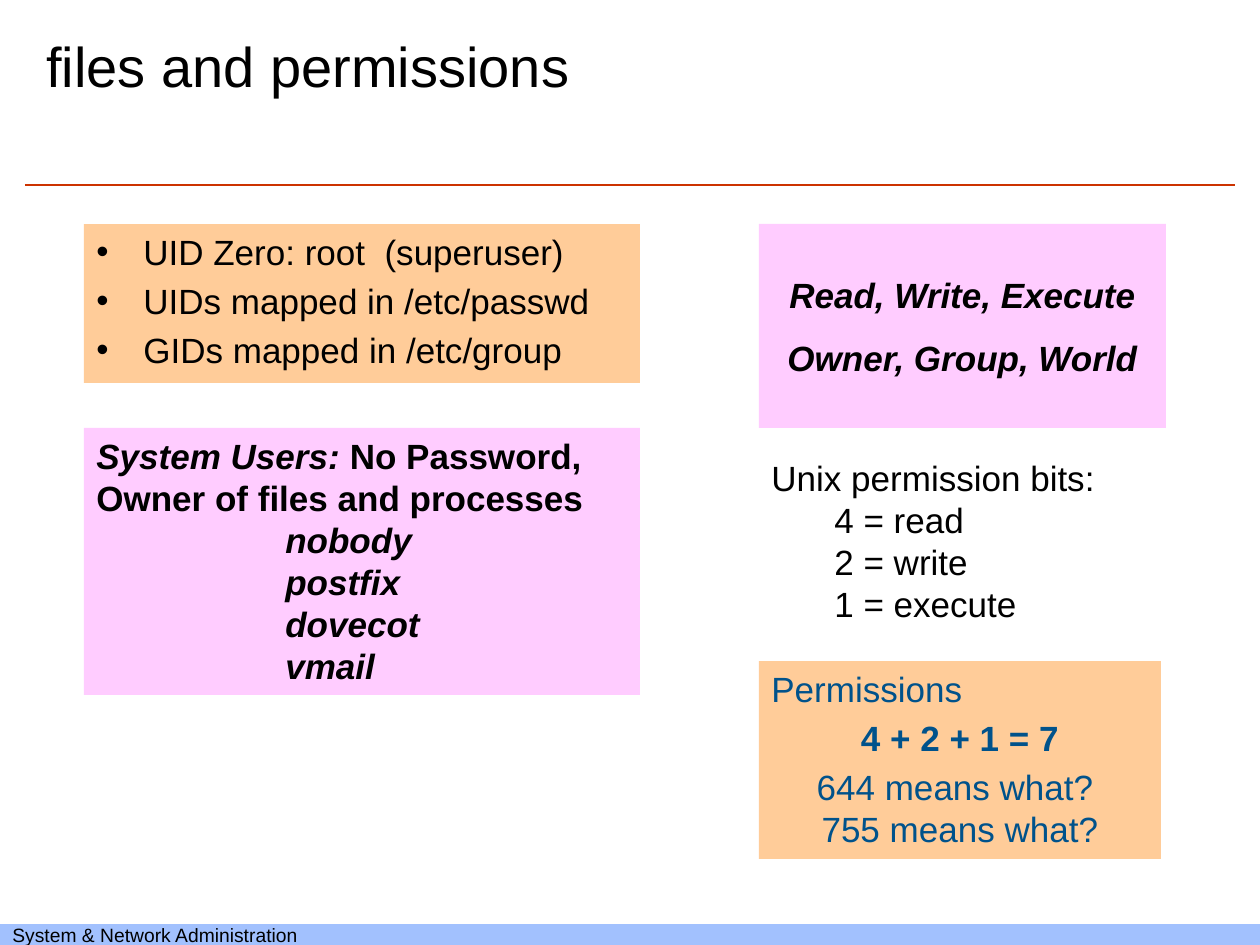
from lxml.etree import SubElement
from pptx import Presentation
from pptx.dml.color import RGBColor
from pptx.enum.shapes import MSO_CONNECTOR as Connector, MSO_SHAPE as Shape
from pptx.enum.text import MSO_ANCHOR as Anchor, PP_ALIGN as Align
from pptx.oxml.ns import qn
from pptx.util import Emu, Pt

SCALE = 914400 / 126
BLACK, BLUE, PEACH, PINK = "000000", "00528B", "FFCC99", "FFCCFF"
LEFT, RIGHT = 84, 759


def px(length):
    """Turn px into EMU."""
    return Emu(round(length * SCALE))


def color(value):
    """Turn a hex string into a colour."""
    return RGBColor.from_string(value)


def add_box(page, area, fill=None, anchor=Anchor.TOP):
    """Add a text box, or a filled rectangle, and return its text frame."""
    area = [px(length) for length in area]
    if fill:
        box = page.shapes.add_shape(Shape.RECTANGLE, *area)
        box.shadow.inherit = False
        box.fill.solid()
        box.fill.fore_color.rgb = color(fill)
        box.line.fill.background()
    else:
        box = page.shapes.add_textbox(*area)
    frame = box.text_frame
    frame.word_wrap = True
    frame.vertical_anchor = anchor
    return frame


def add_para(frame, text, size=20, ink=BLACK, bold=False, italic=False,
             align=Align.LEFT, before=0, indent=0, bullet=None):
    """Write the next paragraph of a frame."""
    para = frame.paragraphs[0] if not frame.text else frame.add_paragraph()
    first = para is frame.paragraphs[0] or not frame.text
    para.text = text
    para.alignment = align
    if before and not first:
        para.space_before = Pt(before)
    props = para._p.get_or_add_pPr()
    if indent:
        props.set("marL", str(px(indent)))
        props.set("indent", str(px(-indent if bullet else 0)))
    if bullet:
        SubElement(props, qn("a:buFont"), typeface="Arial")
        SubElement(props, qn("a:buChar"), char=bullet)
    font = para.font
    font.name, font.size, font.bold, font.italic = "Arial", Pt(size), bold, italic
    font.color.rgb = color(ink)
    return para


def add_header(page, area):
    """Place the title and the rule below it."""
    left, top, width, height = area
    frame = add_box(page, (left + 9, top, width - 337, height - 80), anchor=Anchor.BOTTOM)
    add_para(frame, "files and permissions", size=32)
    end = top + height
    rule = page.shapes.add_connector(
        Connector.STRAIGHT, px(left), px(end), px(left + width), px(end))
    rule.line.color.rgb = color("CC3300")
    rule.line.width = Pt(1.5)
    SubElement(rule._element.spPr, qn("a:effectLst"))


def add_footer(page, area):
    """Place the course name on a band."""
    frame = add_box(page, area, "A2C1FE", Anchor.MIDDLE)
    frame.margin_top = frame.margin_bottom = 0
    add_para(frame, "System & Network Administration", size=11)


def add_ids(page, area):
    """Place the bulleted notes on user and group IDs."""
    frame = add_box(page, area, PEACH)
    for text in ("UID Zero: root  (superuser)", "UIDs mapped in /etc/passwd",
                 "GIDs mapped in /etc/group"):
        add_para(frame, text, before=4, indent=47, bullet="•")


def add_system_users(page, area):
    """Place the system users and their names."""
    frame = add_box(page, area, PINK)
    para = add_para(frame, "System Users: ", bold=True)
    para.runs[0].font.italic = True
    para.add_run().text = "No Password,"
    add_para(frame, "Owner of files and processes", bold=True)
    for name in ("nobody", "postfix", "dovecot", "vmail"):
        add_para(frame, name, bold=True, italic=True, indent=189)


def add_modes(page, area):
    """Place the access modes and classes."""
    frame = add_box(page, area, PINK, Anchor.MIDDLE)
    for text in ("Read, Write, Execute", "Owner, Group, World"):
        add_para(frame, text, bold=True, italic=True, align=Align.CENTER, before=12)


def add_bits(page, area):
    """Place the list of permission bits."""
    frame = add_box(page, area)
    add_para(frame, "Unix permission bits:")
    for text in ("4 = read", "2 = write", "1 = execute"):
        add_para(frame, text, indent=63)


def add_sums(page, area):
    """Place the permission sums and questions."""
    frame = add_box(page, area, PEACH)
    add_para(frame, "Permissions", ink=BLUE)
    add_para(frame, "4 + 2 + 1 = 7", ink=BLUE, bold=True, align=Align.CENTER, before=4)
    add_para(frame, "644 means what? \v755 means what?", ink=BLUE,
             align=Align.CENTER, before=4)


def main():
    """Build and save the slide."""
    deck = Presentation()
    deck.slide_width, deck.slide_height = px(1260), px(945)
    page = deck.slides.add_slide(deck.slide_layouts[6])
    add_header(page, (25, 35, 1210, 150))
    add_footer(page, (0, 924, 1260, 21))
    add_sums(page, (RIGHT, 661, 402, 198))
    add_system_users(page, (LEFT, 428, 556, 267))
    add_ids(page, (LEFT, 224, 556, 159))
    add_modes(page, (RIGHT, 224, 407, 204))
    add_bits(page, (RIGHT, 450, 407, 183))
    deck.save("out.pptx")


if __name__ == "__main__":
    main()
